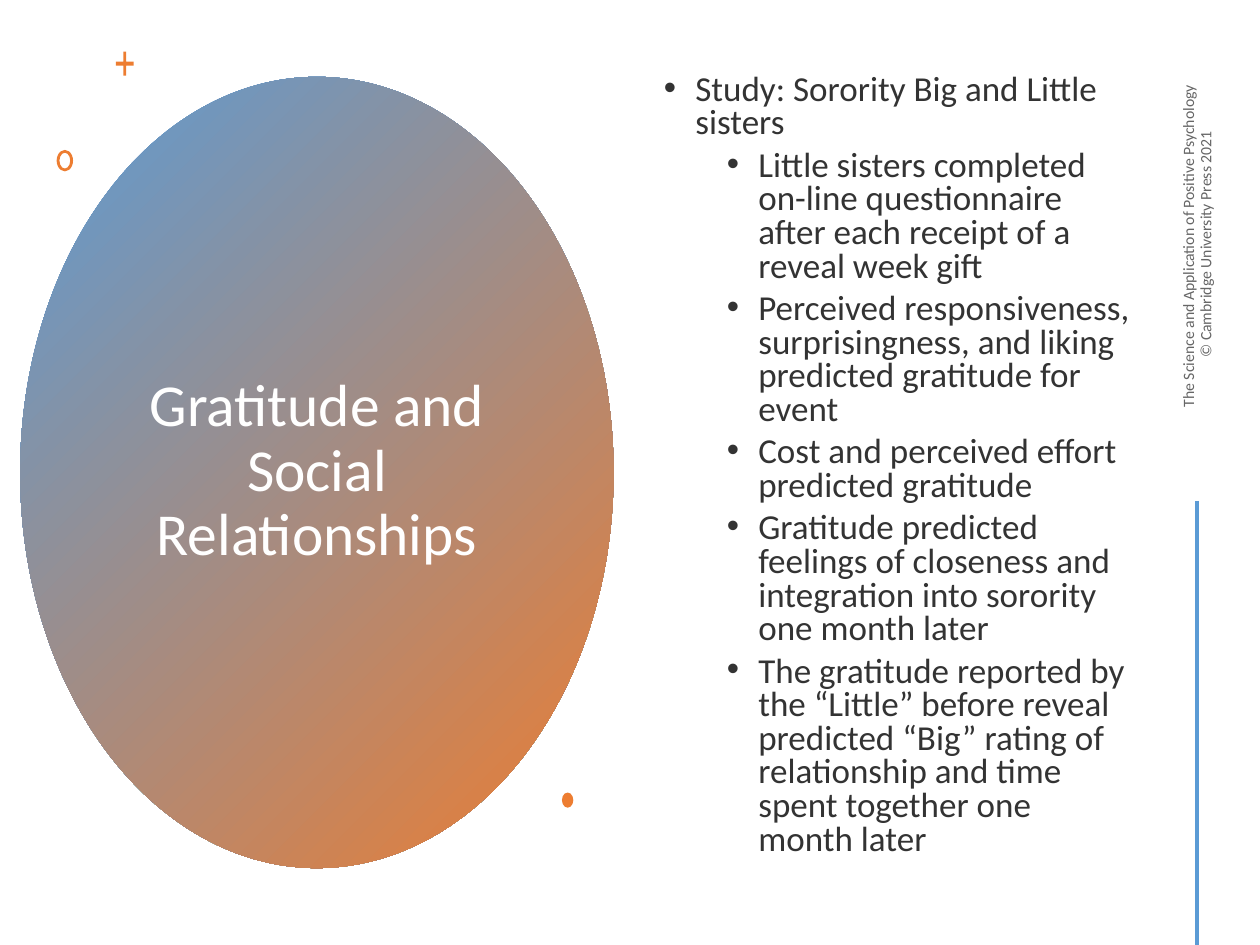
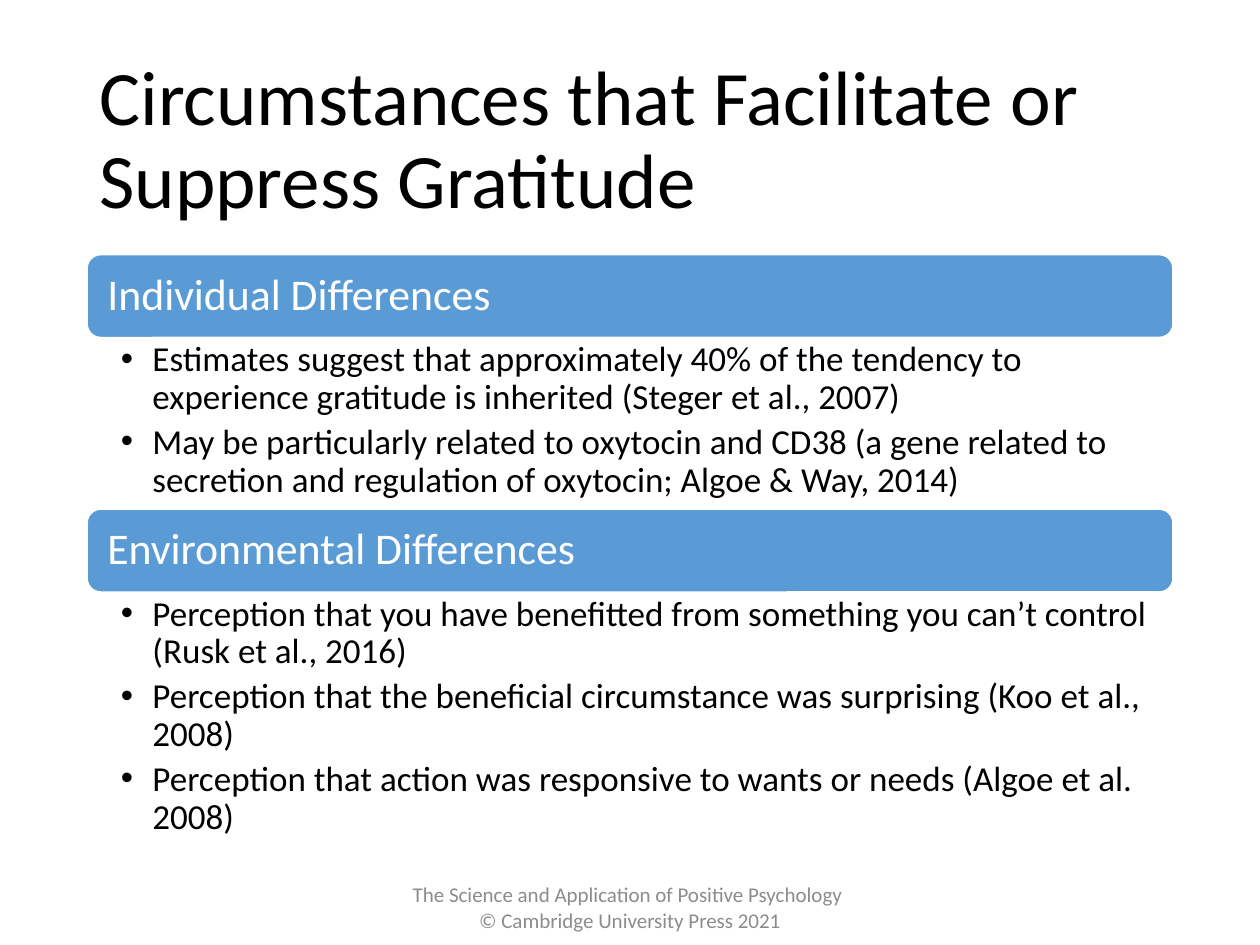
from collections import namedtuple

from lxml import etree
from pptx import Presentation
from pptx.dml.color import RGBColor
from pptx.enum.shapes import MSO_CONNECTOR, MSO_SHAPE
from pptx.enum.text import MSO_ANCHOR, PP_ALIGN
from pptx.oxml.ns import qn
from pptx.util import Inches, Pt

OVAL, DONUT, ROUND = MSO_SHAPE.OVAL, MSO_SHAPE.DONUT, MSO_SHAPE.ROUNDED_RECTANGLE
LINE = MSO_CONNECTOR.STRAIGHT
LEFT, MID = PP_ALIGN.LEFT, PP_ALIGN.CENTER
TOP, CENTER = MSO_ANCHOR.TOP, MSO_ANCHOR.MIDDLE

# Slide size and its grid of square cells
WIDE, HIGH = Inches(10), Inches(7.5)
COLS, ROWS = 100, 75
COL, ROW = WIDE / COLS, HIGH / ROWS

Box = namedtuple("Box", "x y w h")
Item = namedtuple("Item", "text level")
PAGE = Box(0, 0, COLS, ROWS)


class Theme:
    font = "Calibri"
    blue = RGBColor(0x5B, 0x9B, 0xD5)
    orange = RGBColor(0xED, 0x7D, 0x31)
    white = RGBColor(0xFF, 0xFF, 0xFF)
    black = RGBColor(0, 0, 0)
    dark = RGBColor(0x33, 0x33, 0x33)
    gray = RGBColor(0x66, 0x66, 0x66)
    pale = RGBColor(0x8C, 0x8C, 0x8C)
    title, oval, bar, body, foot, side = 44, 34, 25, 20, 12, 9


CREDIT = ("The Science and Application of Positive Psychology \n"
          "© Cambridge University Press 2021")

STUDY = [
    Item("Study: Sorority Big and Little sisters", 0),
    Item("Little sisters completed on-line questionnaire after each receipt "
         "of a reveal week gift", 1),
    Item("Perceived responsiveness, surprisingness, and liking predicted "
         "gratitude for event", 1),
    Item("Cost and perceived effort predicted gratitude", 1),
    Item("Gratitude predicted feelings of closeness and integration into "
         "sorority one month later", 1),
    Item("The gratitude reported by the “Little” before reveal predicted "
         "“Big” rating of relationship and time spent together one month "
         "later", 1),
]

CAUSES = {
    "Individual Differences": [
        "Estimates suggest that approximately 40% of the tendency to "
        "experience gratitude is inherited (Steger et al., 2007)",
        "May be particularly related to oxytocin and CD38 (a gene related to "
        "secretion and regulation of oxytocin; Algoe & Way, 2014)",
    ],
    "Environmental Differences": [
        "Perception that you have benefitted from something you can’t "
        "control (Rusk et al., 2016)",
        "Perception that the beneficial circumstance was surprising "
        "(Koo et al., 2008)",
        "Perception that action was responsive to wants or needs "
        "(Algoe et al. 2008)",
    ],
}


# Placing and drawing helpers
def sub(box, x, y, w, h):
    """Box set off from the corner of another, in grid cells."""
    return Box(box.x + x, box.y + y, w, h)


def place(box):
    return (round(box.x * COL), round(box.y * ROW),
            round(box.w * COL), round(box.h * ROW))


def paint(shape, color, edge=None):
    shape.shadow.inherit = False
    shape.fill.solid()
    shape.fill.fore_color.rgb = color
    if edge is None:
        shape.line.fill.background()
    else:
        shape.line.color.rgb = edge
        shape.line.width = Pt(1)
    return shape


def draw(slide, kind, box, color, edge=None):
    return paint(slide.shapes.add_shape(kind, *place(box)), color, edge)


def dot(para, left):
    """Give a paragraph a hanging bullet."""
    props = para._p.get_or_add_pPr()
    props.set("marL", str(Inches(left)))
    props.set("indent", str(-Inches(0.25)))
    etree.SubElement(props, qn("a:buFont"), typeface="Arial")
    etree.SubElement(props, qn("a:buChar"), char="•")


def write(shape, items, size=Theme.body, color=Theme.black, align=LEFT,
          anchor=CENTER, pad=(0.1, 0.05, 0.1, 0.05), lead=0.9, after=0,
          before=(0,), marks=None):
    """Fill a shape; marks and before hold one value for each level."""
    frame = shape.text_frame
    frame.word_wrap = True
    frame.vertical_anchor = anchor
    (frame.margin_left, frame.margin_top,
     frame.margin_right, frame.margin_bottom) = map(Inches, pad)
    if isinstance(items, str):
        items = [Item(items, 0)]
    for n, item in enumerate(items):
        para = frame.add_paragraph() if n else frame.paragraphs[0]
        para.text = item.text
        if marks:
            dot(para, marks[item.level])
        para.alignment = align
        para.line_spacing = lead
        para.space_before = Pt(before[item.level] if n else 0)
        para.space_after = Pt(after)
        for run in para.runs:
            run.font.name = Theme.font
            run.font.size = Pt(size)
            run.font.color.rgb = color
        for gap in para._p.findall(qn("a:br")):
            etree.SubElement(gap, qn("a:rPr"), sz=str(size * 100))
    return shape


def text(slide, box, items, **form):
    return write(slide.shapes.add_textbox(*place(box)), items, **form)


# Parts of the study slide
def plus(slide, box):
    x, y, w, h = place(box)
    arm, bar = round(w * 0.42), round(h * 0.42)
    pts = [(arm, 0), (w - arm, 0), (w - arm, bar), (w, bar), (w, h - bar),
           (w - arm, h - bar), (w - arm, h), (arm, h), (arm, h - bar),
           (0, h - bar), (0, bar), (arm, bar)]
    pen = slide.shapes.build_freeform(x + pts[0][0], y + pts[0][1])
    pen.add_line_segments([(x + a, y + b) for a, b in pts[1:]])
    paint(pen.convert_to_shape(), Theme.orange)


def badge(slide, box, title):
    """Shaded oval with its title and small marks around it."""
    oval = draw(slide, OVAL, box, Theme.blue)
    oval.fill.gradient()
    oval.fill.gradient_angle = 315
    for stop, color in zip(oval.fill.gradient_stops,
                           (Theme.blue, Theme.orange)):
        stop.color.rgb = color
    text(slide, sub(box, 8.6, 8, 29.9, 46.7), title, size=Theme.oval,
         color=Theme.white, align=MID)
    plus(slide, sub(box, 7.6, -2, 1.4, 1.9))
    ring = draw(slide, DONUT, sub(box, 2.9, 5.8, 1.3, 1.7), Theme.orange)
    ring.adjustments[0] = 0.17
    draw(slide, OVAL, sub(box, 43, 56.8, 0.9, 1.2), Theme.orange)


def margin(slide, box):
    """Upright credit over a rule that runs to the slide's foot."""
    note = text(slide, sub(box, -14.5, 17.4, 29.1, 4), CREDIT,
                size=Theme.side, color=Theme.gray, align=MID, after=6)
    note.rotation = 270
    x, y, _, h = place(box)
    rule = slide.shapes.add_connector(LINE, x, y + round(h * 0.53), x, y + h)
    rule.line.color.rgb = Theme.blue
    rule.line.width = Pt(2)
    etree.SubElement(rule._element.spPr, qn("a:effectLst"))


def study(slide):
    badge(slide, sub(PAGE, 1.6, 6.1, 47.1, 62.8),
          "Gratitude and Social Relationships")
    text(slide, sub(PAGE, 51.7, 5.7, 39.1, 63.8), STUDY, color=Theme.dark,
         pad=(0.1, 0.05, 0.1, 0.17), lead=0.8, before=(10, 5),
         marks=(0.25, 0.75))
    margin(slide, sub(PAGE, 95, 0, 5, ROWS))


# Parts of the list slide
def stack(slide, box, groups):
    """Bars with their points below; each point takes an equal height."""
    bar, step, y = 6.6, 6.8, 0
    for name, points in groups.items():
        head = draw(slide, ROUND, sub(box, 0, y, box.w, bar),
                    Theme.blue, Theme.white)
        write(head, name, size=Theme.bar, color=Theme.white,
              pad=(0.13, 0.1, 0.13, 0.1))
        y += bar
        high = step * len(points)
        text(slide, sub(box, 0, y, box.w, high),
             [Item(point, 0) for point in points], anchor=TOP,
             pad=(0.27, 0.03, 0.19, 0.03), after=4, marks=(0.25,))
        y += high


def causes(slide):
    body = sub(PAGE, 6.9, 4, 86.2, 63.3)
    text(slide, sub(body, 0, 0, body.w, 14.5),
         "Circumstances that Facilitate or Suppress Gratitude",
         size=Theme.title)
    stack(slide, sub(body, 0, 16.2, body.w, 47.1), CAUSES)
    text(slide, sub(PAGE, 21.9, 69.5, 56.2, 5), CREDIT, size=Theme.foot,
         color=Theme.pale, align=MID, lead=1.0)


def main():
    deck = Presentation()
    deck.slide_width, deck.slide_height = WIDE, HIGH
    blank = deck.slide_layouts[6]
    for build in (study, causes):
        build(deck.slides.add_slide(blank))
    deck.save("out.pptx")


if __name__ == "__main__":
    main()
